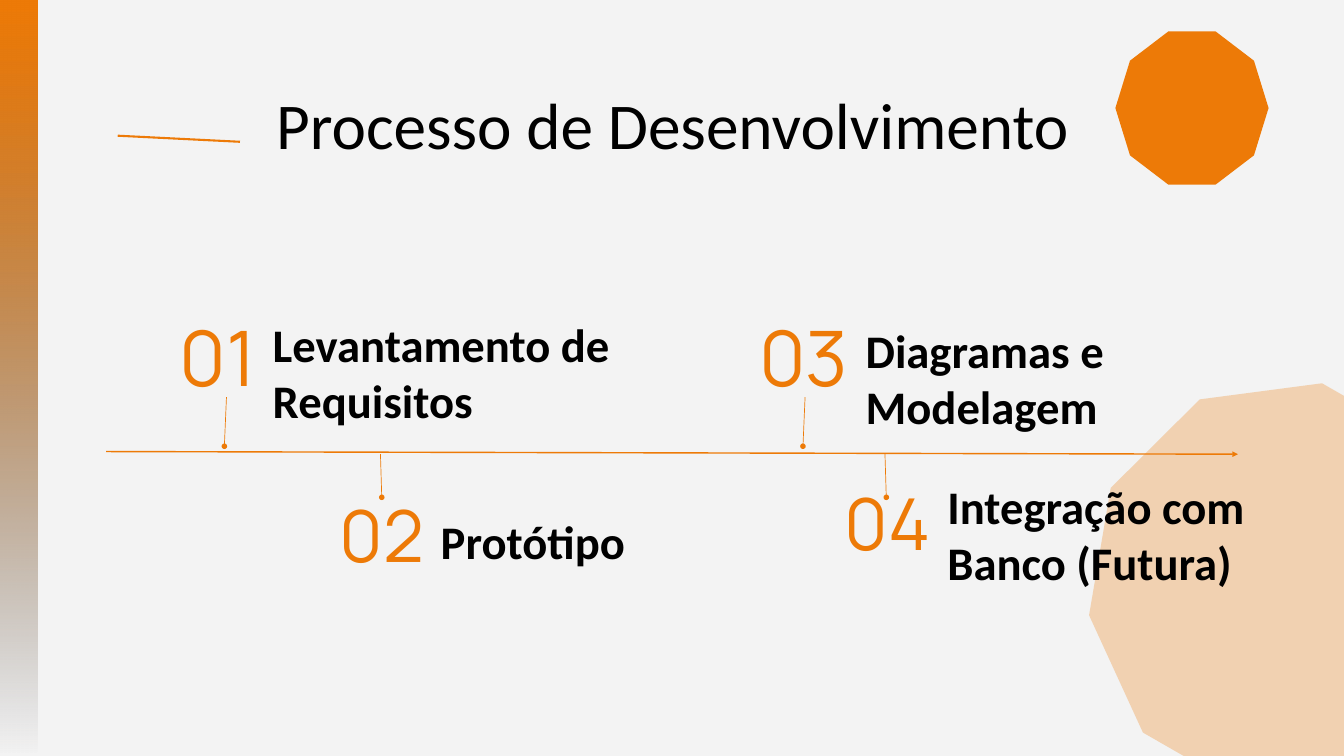
"""Build the slide on the four steps of the development process."""
from pptx import Presentation
from pptx.dml.color import RGBColor
from pptx.enum import shapes, text
from pptx.oxml import xmlchemy as xc
from pptx.oxml.ns import qn
from pptx.util import Cm, Pt
from lxml import etree

ACCENT, INK, PAPER, GREY = "ED7A07", "000000", "F3F3F3", "737373"

STEPS = [
    ("01", (5.69, 11.73, 3.99, 3.68), 82,
     "Levantamento de Requisitos", (10.31, 11.94, 16.64, 4.22), 8.56),
    ("02", (12.29, 18.57, 3.73, 2.08), 76.7,
     "Protótipo", (16.66, 19.38, 11.56, 2.11), 14.38),
    ("03", (28.07, 11.73, 3.99, 3.68), 82,
     "Diagramas e Modelagem", (32.72, 12.17, 11.56, 4.22), 30.43),
    ("04", (31.45, 18.11, 3.73, 3.48), 76.7,
     "Integração com Banco (Futura)", (35.81, 18.08, 11.56, 4.22), 33.45),
]


def tint(code):
    return RGBColor.from_string(code)


def fade(shape, share):
    color = list(shape._element.spPr.iter(qn("a:srgbClr")))[-1]
    etree.SubElement(color, qn("a:alpha"), val=str(share * 1000))


def write(shape, words, size, lead, font="Calibri", color=INK, bold=False,
          align=text.PP_ALIGN.LEFT):
    frame = shape.text_frame
    frame.word_wrap = True
    frame.auto_size = text.MSO_AUTO_SIZE.NONE
    frame.vertical_anchor = text.MSO_ANCHOR.TOP
    frame.margin_left = frame.margin_right = 0
    frame.margin_top = frame.margin_bottom = 0
    para = frame.paragraphs[0]
    para.alignment = align
    para.line_spacing = Pt(lead)
    run = para.add_run()
    run.text = words
    run.font.name, run.font.size, run.font.bold = font, Pt(size), bold
    run.font.color.rgb = tint(color)


class Deck:
    def __init__(self, wide, high):
        self.show = Presentation()
        self.show.slide_width, self.show.slide_height = Cm(wide), Cm(high)
        self.slide = self.show.slides.add_slide(self.show.slide_layouts[5])
        fill = self.slide.background.fill
        fill.solid()
        fill.fore_color.rgb = tint(PAPER)

    def title(self, words, box, **style):
        head = self.slide.shapes.title
        head.left, head.top, head.width, head.height = map(Cm, box)
        write(head, words, **style)

    def text(self, words, box, **style):
        write(self.slide.shapes.add_textbox(*map(Cm, box)), words, **style)

    def shape(self, kind, box):
        item = self.slide.shapes.add_shape(kind, *map(Cm, box))
        item.shadow.inherit = False
        item.line.fill.background()
        return item

    def bar(self, box):
        item = self.shape(shapes.MSO_SHAPE.RECTANGLE, box)
        item.fill.gradient()
        item.fill.gradient_angle = 270
        for stop, color in zip(item.fill.gradient_stops, (ACCENT, GREY)):
            stop.color.rgb = tint(color)
        fade(item, 0)

    def decagon(self, left, top, side, turn=0, share=100):
        item = self.shape(shapes.MSO_SHAPE.DECAGON, (left, top, side, side))
        item.rotation = turn
        item.fill.solid()
        item.fill.fore_color.rgb = tint(ACCENT)
        if share < 100:
            fade(item, share)

    def line(self, ends, width, tip=None):
        item = self.slide.shapes.add_connector(
            shapes.MSO_CONNECTOR.STRAIGHT, *map(Cm, ends))
        item.line.color.rgb = tint(ACCENT)
        item.line.width = Pt(width)
        if tip:
            etree.SubElement(item.line._get_or_add_ln(), qn("a:tailEnd"), type=tip)
        etree.SubElement(item._element.spPr, qn("a:effectLst"))


def main():
    deck = Deck(50.8, 28.58)
    for _ in range(2):
        deck.bar((0, 0, 1.4, 28.58))
    deck.line((4.45, 5.13, 9.07, 5.36), 2.25)
    deck.decagon(41.1, 14.73, 15.09, turn=352.5, share=28)
    deck.decagon(42.16, 1.19, 5.79)
    deck.title("Processo de Desenvolvimento", (10.44, 3.2, 36.14, 3),
               size=70, lead=84)
    deck.line((4.01, 17.07, 46.79, 17.17), 1.5, "triangle")
    for place, (number, spot, size, label, box, x) in enumerate(STEPS):
        deck.text(number, spot, size=size, lead=size * 1.2, font="Manrope",
                  color=ACCENT, align=text.PP_ALIGN.RIGHT)
        deck.text(label, box, size=50, lead=60, bold=True)
        above = place % 2 == 0
        stem = (x, 15.01, x - 0.08, 16.87) if above else (x, 17.17, x + 0.05, 18.8)
        deck.line(stem, 0.75, "oval")
    deck.show.save("out.pptx")


if __name__ == "__main__":
    main()
